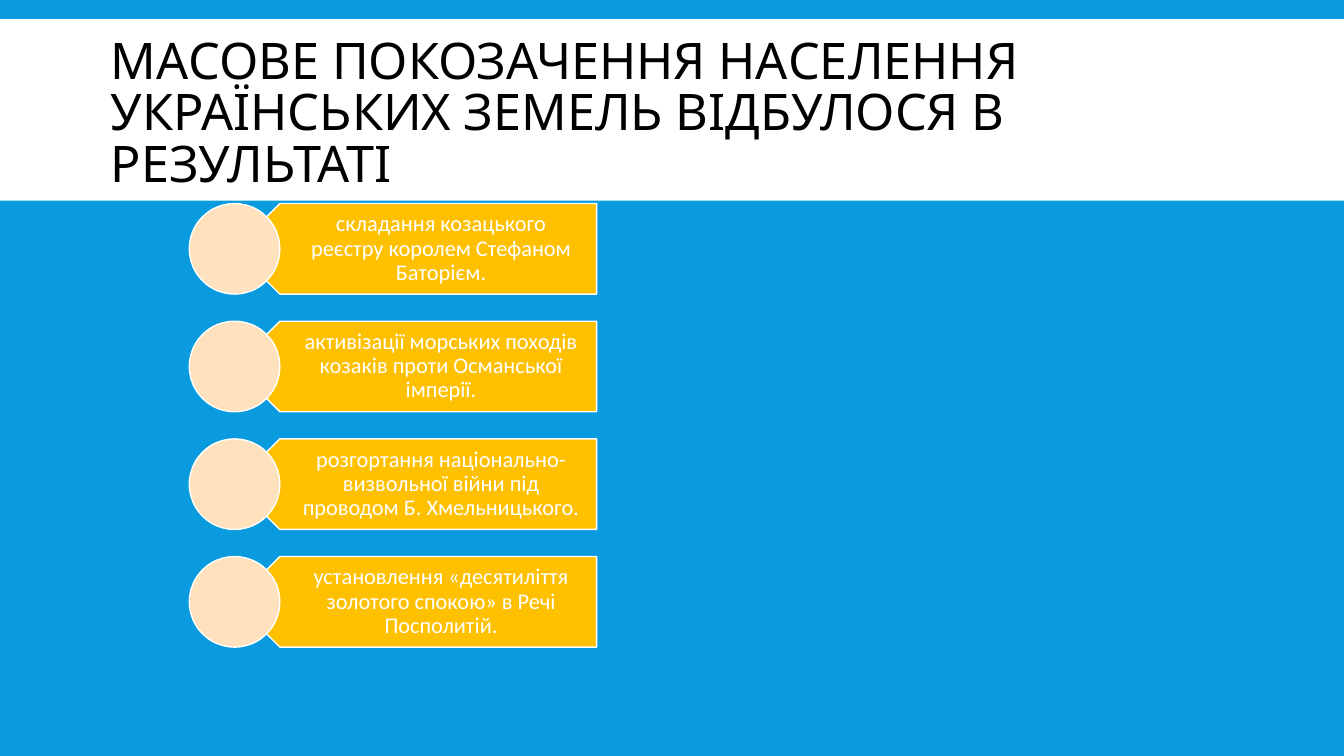
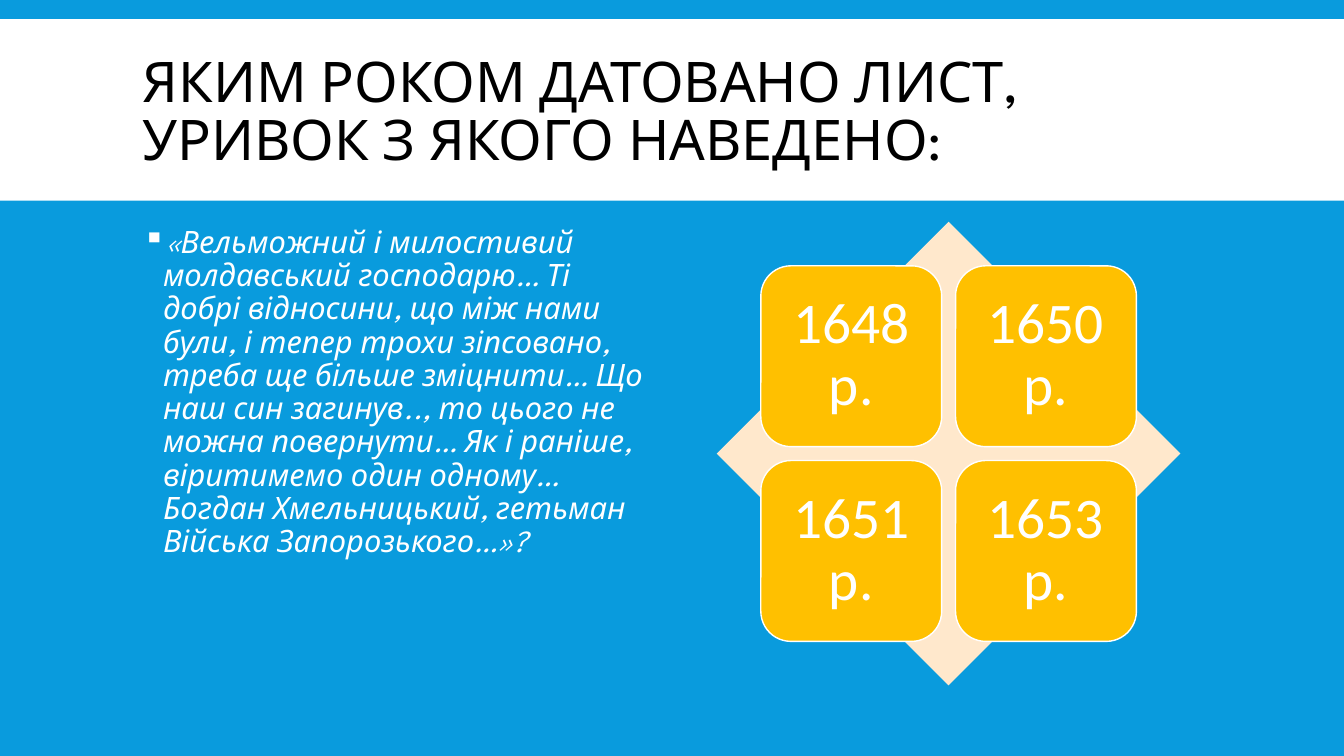
from dataclasses import dataclass
from itertools import product

from lxml import etree
from pptx import Presentation
from pptx.dml.color import RGBColor as RGB
from pptx.enum.shapes import MSO_SHAPE as SHAPE
from pptx.enum.text import MSO_ANCHOR as ANCHOR, PP_ALIGN as ALIGN
from pptx.oxml.ns import qn
from pptx.util import Pt


@dataclass(frozen=True)
class Theme:
    blue: RGB = RGB.from_string("099BDD")
    white: RGB = RGB.from_string("FFFFFF")
    black: RGB = RGB.from_string("000000")
    gold: RGB = RGB.from_string("FFC000")
    peach: RGB = RGB.from_string("FFE2BD")
    cream: RGB = RGB.from_string("FFE8CC")
    head_font: str = "League Spartan"
    item_font: str = "Calibri"
    item_size: int = 16
    quote_size: int = 22
    year_size: int = 41


T = Theme()
SLIDE_W, SLIDE_H = 960, 540
BAND = (0, 13.7, SLIDE_W, 129.6)
INSETS = (7.2, 3.6, 7.2, 3.6)

REASONS_TITLE = "МАСОВЕ ПОКОЗАЧЕННЯ НАСЕЛЕННЯ УКРАЇНСЬКИХ ЗЕМЕЛЬ ВІДБУЛОСЯ В РЕЗУЛЬТАТІ"
REASONS = [
    "складання козацького реєстру королем Стефаном Баторієм.",
    "активізації морських походів козаків проти Османської імперії.",
    "розгортання національно-визвольної війни під проводом Б. Хмельницького.",
    "установлення «десятиліття золотого спокою» в Речі Посполитій.",
]
LETTER_TITLE = "ЯКИМ РОКОМ ДАТОВАНО ЛИСТ, УРИВОК З ЯКОГО НАВЕДЕНО:"
LETTER = (
    "«Вельможний і милостивий молдавський господарю… Ті добрі відносини, "
    "що між нами були, і тепер трохи зіпсовано, треба ще більше зміцнити… "
    "Що наш син загинув.., то цього не можна повернути… Як і раніше, "
    "віритимемо один одному… Богдан Хмельницький, гетьман Війська "
    "Запорозького…»?"
)
YEARS = ["1648 р.", "1650 р.", "1651 р.", "1653 р."]


def set_all(obj, values):
    for name, value in values.items():
        setattr(obj, name, value)


def add_shape(s, kind, box, fill, outlined=True):
    sp = s.shapes.add_shape(kind, *map(Pt, box))
    sp.shadow.inherit = False
    sp.fill.solid()
    sp.fill.fore_color.rgb = fill
    if outlined:
        sp.line.color.rgb = T.white
        sp.line.width = Pt(1)
    else:
        sp.line.fill.background()
    return sp


def add_bullet(p, indent, char):
    pPr = p._p.get_or_add_pPr()
    pPr.set("marL", str(Pt(indent)))
    pPr.set("indent", str(-Pt(indent)))
    clr = etree.SubElement(pPr, qn("a:buClr"))
    etree.SubElement(clr, qn("a:srgbClr"), val=str(T.white))
    etree.SubElement(pPr, qn("a:buChar"), char=char)


def write(sp, text, font, size, color=T.white, align=ALIGN.CENTER,
          anchor=ANCHOR.MIDDLE, insets=INSETS, spacing=0.9, italic=False,
          bullet=None):
    tf = sp.text_frame
    left, top, right, bottom = map(Pt, insets)
    set_all(tf, {
        "word_wrap": True, "vertical_anchor": anchor,
        "margin_left": left, "margin_top": top,
        "margin_right": right, "margin_bottom": bottom,
    })
    p = tf.paragraphs[0]
    set_all(p, {"alignment": align, "line_spacing": spacing})
    if bullet:
        add_bullet(p, 14.4, bullet)
    r = p.add_run()
    r.text = text
    set_all(r.font, {"name": font, "size": Pt(size), "italic": italic})
    r.font.color.rgb = color


def add_text(s, box, text, font, size, **style):
    write(s.shapes.add_textbox(*map(Pt, box)), text, font, size, **style)


def titled_slide(prs, title, box, size):
    s = prs.slides.add_slide(prs.slide_layouts[6])
    s.background.fill.solid()
    s.background.fill.fore_color.rgb = T.blue
    add_shape(s, SHAPE.RECTANGLE, BAND, T.white, outlined=False)
    add_text(s, box, title, T.head_font, size, color=T.black,
             align=ALIGN.LEFT, spacing=0.85)
    return s


def reason_list(s, box, items):
    x, y, w, h = box
    row_h = h / (len(items) + 0.3 * (len(items) - 1))
    half = row_h / 2
    for i, item in enumerate(items):
        top = y + i * row_h * 1.3
        arrow = add_shape(s, SHAPE.PENTAGON,
                          (x + half, top, w - half, row_h), T.gold)
        arrow.rotation = 180
        add_text(s, (x + 1.5 * half, top, w - 1.5 * half, row_h), item,
                 T.item_font, T.item_size, insets=(28.8, 5, 8.6, 5))
        add_shape(s, SHAPE.OVAL, (x, top, row_h, row_h), T.peach)


def year_matrix(s, box, years):
    x, y, side, _ = box
    tile, margin, step = side * 0.39, side * 0.095, side * 0.42
    add_shape(s, SHAPE.DIAMOND, box, T.cream, outlined=False)
    for (row, col), year in zip(product(range(2), repeat=2), years):
        sp = add_shape(s, SHAPE.ROUNDED_RECTANGLE,
                       (x + margin + col * step, y + margin + row * step,
                        tile, tile), T.gold)
        write(sp, year, T.item_font, T.year_size, insets=(12.2,) * 4)


def reasons_slide(prs):
    s = titled_slide(prs, REASONS_TITLE, (72, 19.4, 816, 126), 36)
    reason_list(s, (135.2, 145.4, 291, 316.8), REASONS)


def letter_slide(prs):
    s = titled_slide(prs, LETTER_TITLE, (95, 22.3, 770.4, 118.8), 40)
    add_text(s, (95, 158.4, 374.4, 331.2), LETTER, T.head_font, T.quote_size,
             align=ALIGN.LEFT, anchor=ANCHOR.TOP, italic=True, bullet="▪")
    year_matrix(s, (512, 158.4, 331.2, 331.2), YEARS)


def main():
    prs = Presentation()
    set_all(prs, {"slide_width": Pt(SLIDE_W), "slide_height": Pt(SLIDE_H)})
    reasons_slide(prs)
    letter_slide(prs)
    prs.save("out.pptx")


if __name__ == "__main__":
    main()
